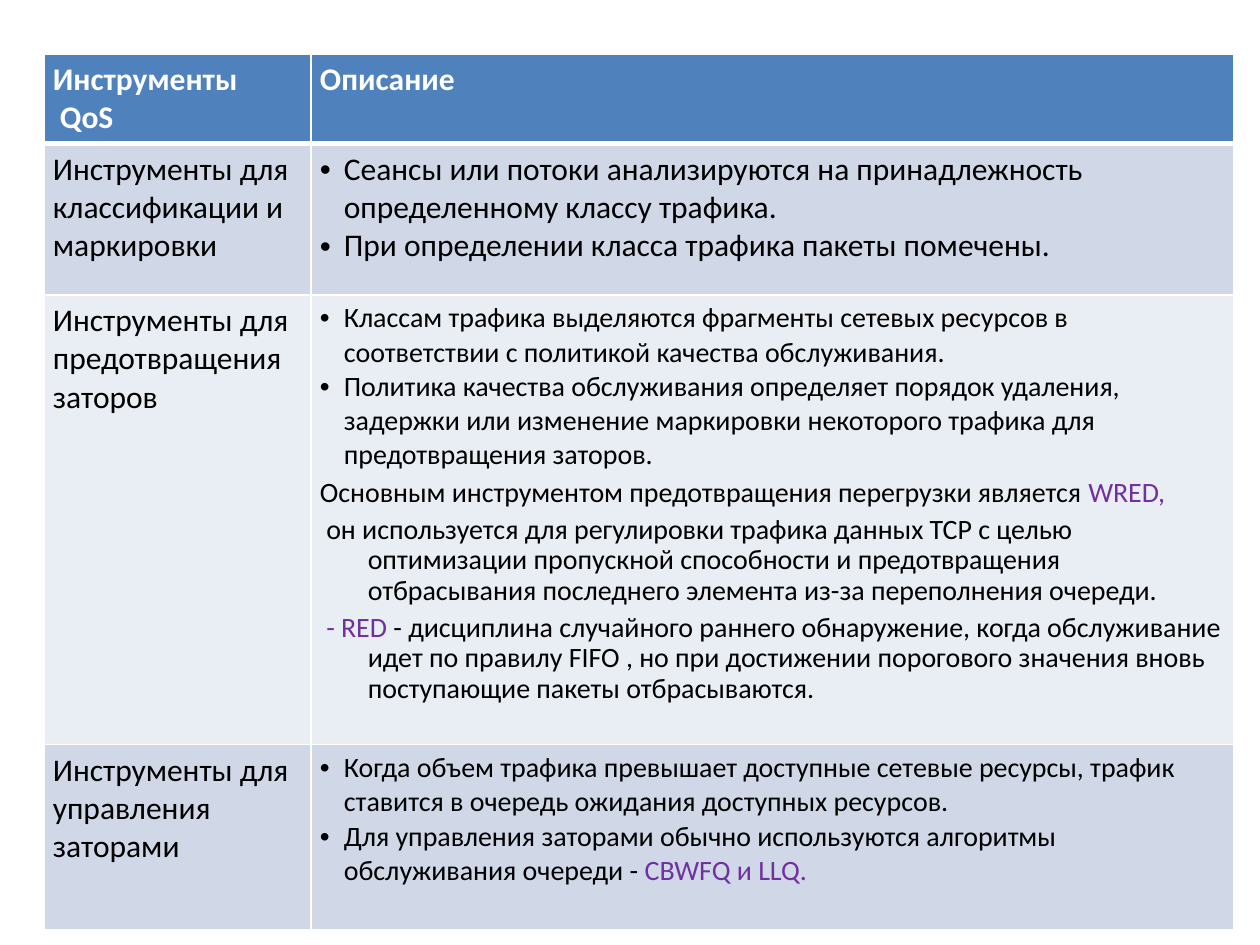
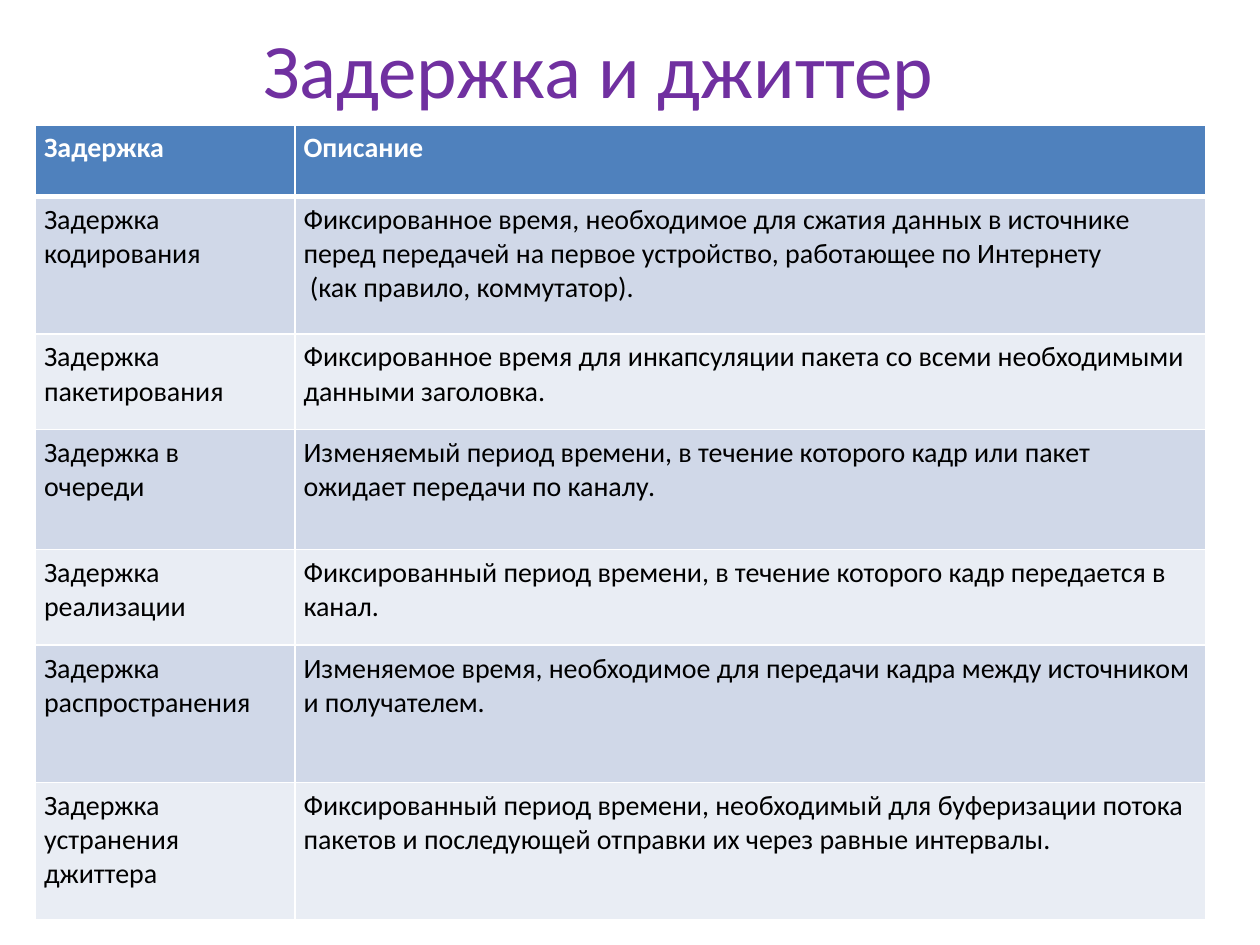
"""Build two slides with tables on QoS tools and on delay and jitter."""
import pptx
import pptx.dml.color
import pptx.enum.text
import pptx.oxml.ns
import pptx.util
from dataclasses import dataclass
from lxml import etree

Inches = pptx.util.Inches
Pt = pptx.util.Pt


@dataclass(frozen=True)
class Theme:
    font: str = "Calibri"
    head: str = "4F81BD"
    bands: tuple = ("D0D8E8", "E9EDF4")
    white: str = "FFFFFF"
    ink: str = "000000"
    accent: str = "7030A0"
    title: int = 44
    large: int = 18
    body: int = 16
    thin: int = 1
    thick: int = 3
    side: float = 0.07
    edge: float = 0.05


THEME = Theme()

STYLES = {
    "plain": {},
    "bullet": {"left": 0.19, "mark": "•"},
    "hang": {"left": 0.38, "line": 0.9, "before": 3.2},
}

TOOLS = {
    "place": (0.35, 0.43),
    "cols": (2.12, 7.32),
    "rows": (0.68, 1.2, 3.57, 1.47),
    "sizes": [(THEME.large, THEME.large)] * 2 + [(THEME.large, THEME.body)] * 2,
    "cells": [
        (["Инструменты", " QoS"], ["Описание"]),
        (["Инструменты для классификации и маркировки"], [
            ("bullet", "Сеансы или потоки анализируются на принадлежность "
                       "определенному классу трафика."),
            ("bullet", "При определении класса трафика пакеты помечены."),
        ]),
        (["Инструменты для предотвращения заторов"], [
            ("bullet", "Классам трафика выделяются фрагменты сетевых ресурсов "
                       "в соответствии с политикой качества обслуживания."),
            ("bullet", "Политика качества обслуживания определяет порядок "
                       "удаления, задержки или изменение маркировки некоторого "
                       "трафика для предотвращения заторов."),
            ("hang", "Основным инструментом предотвращения перегрузки является ",
             ("WRED,", THEME.accent)),
            ("hang", " он используется для регулировки трафика данных TCP с целью "
                     "оптимизации пропускной способности и предотвращения "
                     "отбрасывания последнего элемента из-за переполнения "
                     "очереди."),
            ("hang", (" - RED ", THEME.accent),
             "- дисциплина случайного раннего обнаружение, когда обслуживание "
             "идет по правилу FIFO , но при достижении порогового значения вновь "
             "поступающие пакеты отбрасываются."),
        ]),
        (["Инструменты для управления заторами"], [
            ("bullet", "Когда объем трафика превышает доступные сетевые ресурсы, "
                       "трафик ставится в очередь ожидания доступных ресурсов."),
            ("bullet", "Для управления заторами обычно используются алгоритмы "
                       "обслуживания очереди - ",
             ("CBWFQ и LLQ.", THEME.accent)),
        ]),
    ],
}

DELAYS = {
    "title": "Задержка и джиттер",
    "place": (0.28, 0.99),
    "cols": (2.06, 7.23),
    "rows": (0.57, 1.09, 0.76, 0.95, 0.76, 1.09, 1.09),
    "sizes": [(THEME.body, THEME.body)] * 7,
    "cells": [
        (["Задержка"], ["Описание"]),
        (["Задержка кодирования"], [
            "Фиксированное время, необходимое для сжатия данных в источнике "
            "перед передачей на первое устройство, работающее по Интернету",
            " (как правило, коммутатор).",
        ]),
        (["Задержка пакетирования"], [
            "Фиксированное время для инкапсуляции пакета со всеми необходимыми "
            "данными заголовка."]),
        (["Задержка в очереди"], [
            "Изменяемый период времени, в течение которого кадр или пакет "
            "ожидает передачи по каналу."]),
        (["Задержка реализации"], [
            "Фиксированный период времени, в течение которого кадр передается "
            "в канал."]),
        (["Задержка распространения"], [
            "Изменяемое время, необходимое для передачи кадра между источником "
            "и получателем."]),
        (["Задержка устранения джиттера"], [
            "Фиксированный период времени, необходимый для буферизации потока "
            "пакетов и последующей отправки их через равные интервалы."]),
    ],
}


def color(code):
    return pptx.dml.color.RGBColor.from_string(code)


def node(owner, tag, **attrs):
    return etree.SubElement(owner, pptx.oxml.ns.qn(tag), attrs)


def add_run(para, text, size, hue, bold=False):
    run = para.add_run()
    run.text = text
    run.font.name = THEME.font
    run.font.size = Pt(size)
    run.font.bold = bold
    run.font.color.rgb = color(hue)


def shape_para(para, left=0, mark=None, line=None, before=None):
    props = para._p.get_or_add_pPr()
    if left:
        props.set("marL", str(Inches(left)))
        props.set("indent", str(-Inches(left)))
    if mark:
        node(props, "a:buFont", typeface="Arial")
        node(props, "a:buChar", char=mark)
    if line:
        para.line_spacing = line
    if before:
        para.space_before = Pt(before)


def fill_text(frame, paras, size, ink, bold):
    for num, item in enumerate(paras):
        para = frame.add_paragraph() if num else frame.paragraphs[0]
        style, *runs = ("plain", item) if isinstance(item, str) else item
        shape_para(para, **STYLES[style])
        for part in runs:
            text, hue = (part, ink) if isinstance(part, str) else part
            add_run(para, text, size, hue, bold)


def add_edges(cell, row):
    widths = {
        "L": THEME.thin,
        "R": THEME.thin,
        "T": THEME.thick if row == 1 else THEME.thin,
        "B": THEME.thick if row == 0 else THEME.thin,
    }
    props = cell._tc.get_or_add_tcPr()
    for side, width in widths.items():
        line = node(props, "a:ln" + side, w=str(Pt(width)))
        node(node(line, "a:solidFill"), "a:srgbClr", val=THEME.white)


def add_cell(cell, row, paras, size):
    head = row == 0
    cell.margin_left = cell.margin_right = Inches(THEME.side)
    cell.margin_top = cell.margin_bottom = Inches(THEME.edge)
    add_edges(cell, row)
    cell.fill.solid()
    cell.fill.fore_color.rgb = color(THEME.head if head else THEME.bands[(row - 1) % 2])
    fill_text(cell.text_frame, paras, size, THEME.white if head else THEME.ink, head)


def add_grid(slide, data):
    cols, rows = data["cols"], data["rows"]
    box = (*data["place"], sum(cols), sum(rows))
    table = slide.shapes.add_table(len(rows), len(cols), *map(Inches, box)).table
    for col, width in zip(table.columns, cols):
        col.width = Inches(width)
    for num, high in enumerate(rows):
        table.rows[num].height = Inches(high)
        for col, paras in enumerate(data["cells"][num]):
            add_cell(table.cell(num, col), num, paras, data["sizes"][num][col])


def add_title(slide, text):
    box = slide.shapes.add_textbox(0, 0, Inches(9.5), Inches(1.07))
    frame = box.text_frame
    frame.word_wrap = True
    frame.vertical_anchor = pptx.enum.text.MSO_ANCHOR.MIDDLE
    para = frame.paragraphs[0]
    para.alignment = pptx.enum.text.PP_ALIGN.CENTER
    add_run(para, text, THEME.title, THEME.accent)


def main():
    deck = pptx.Presentation()
    deck.slide_width, deck.slide_height = Inches(10), Inches(7.5)
    for data in (TOOLS, DELAYS):
        slide = deck.slides.add_slide(deck.slide_layouts[6])
        if "title" in data:
            add_title(slide, data["title"])
        add_grid(slide, data)
    deck.save("out.pptx")


if __name__ == "__main__":
    main()
